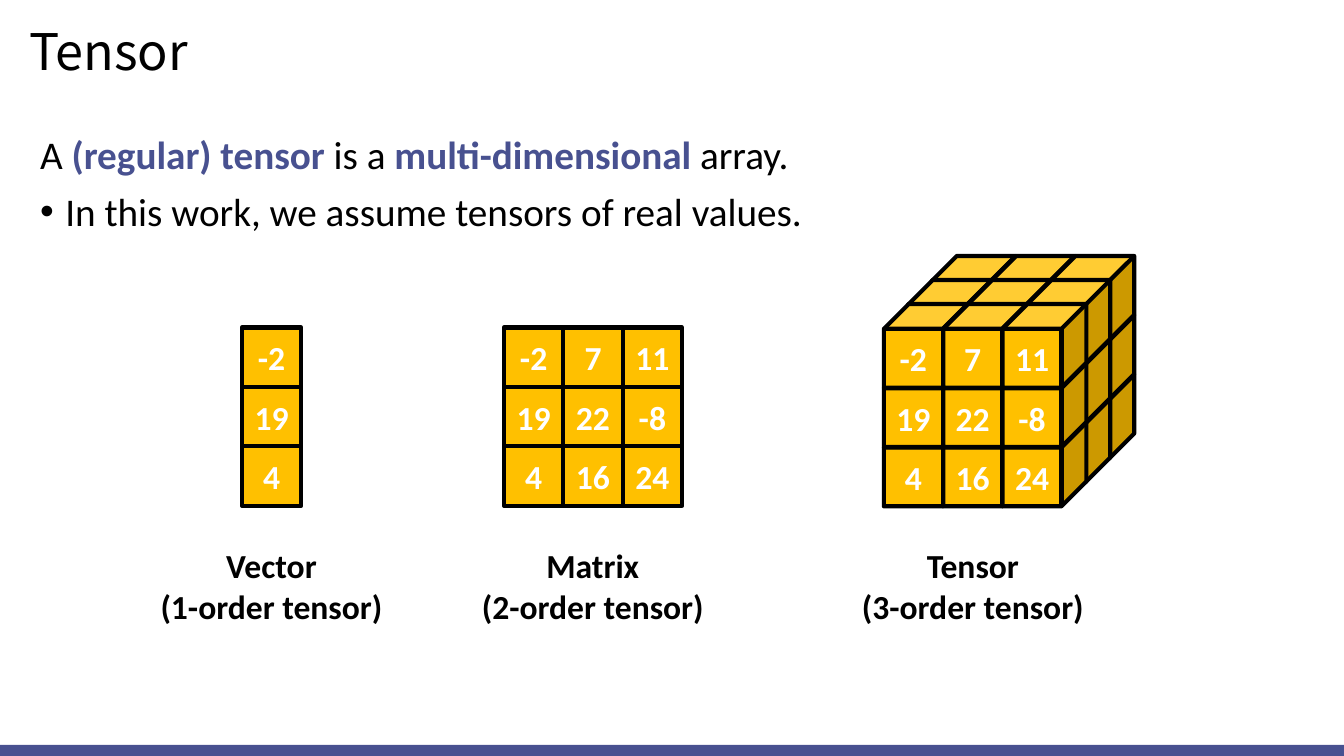
from lxml.etree import SubElement
from pptx import Presentation
from pptx.dml.color import RGBColor
from pptx.enum.shapes import MSO_SHAPE as Preset
from pptx.enum.text import MSO_ANCHOR as Anchor, PP_ALIGN as Align
from pptx.oxml.ns import qn
from pptx.util import Pt

WIDTH, HEIGHT = 960, 540
BLACK = RGBColor(0x00, 0x00, 0x00)
WHITE = RGBColor(0xFF, 0xFF, 0xFF)
INDIGO = RGBColor(0x48, 0x51, 0x90)
AMBER = RGBColor(0xFF, 0xC0, 0x00)

CELL = 42.4
CUBE = 59.8
CUBE_DEPTH = 0.298
LAYER_SHIFT = 17.1
GRID_TOP = 234
CAPTION_TOP, CAPTION_WIDTH, CAPTION_HEIGHT = 386, 176, 65.5

MATRIX = [["-2", "7", "11"], ["19", "22", "-8"], ["4", "16", "24"]]
VECTOR = [row[:1] for row in MATRIX]


class TensorSlide:
    font = "Calibri"

    def __init__(self, slide):
        self.slide = slide

    def run(self, paragraph, text, size, color=BLACK, bold=False, font=None):
        run = paragraph.add_run()
        run.text = text
        run.font.name = font or self.font
        run.font.size = Pt(size)
        run.font.bold = bold
        run.font.color.rgb = color

    def text_box(self, left, top, width, height, anchor=Anchor.TOP):
        frame = self.slide.shapes.add_textbox(
            Pt(left), Pt(top), Pt(width), Pt(height)).text_frame
        frame.word_wrap = True
        frame.vertical_anchor = anchor
        return frame

    def bullet(self, paragraph):
        properties = paragraph._p.get_or_add_pPr()
        properties.set("marL", str(Pt(18)))
        properties.set("indent", str(Pt(-18)))
        SubElement(properties, qn("a:buFont"), typeface="Arial")
        SubElement(properties, qn("a:buChar"), char="•")

    def bar(self, top, height):
        bar = self.slide.shapes.add_shape(
            Preset.RECTANGLE, Pt(0), Pt(top), Pt(WIDTH), Pt(height))
        bar.shadow.inherit = False
        bar.fill.solid()
        bar.fill.fore_color.rgb = INDIGO
        bar.line.fill.background()

    def cell(self, group, preset, left, top, size, value):
        cell = group.shapes.add_shape(preset, Pt(left), Pt(top), Pt(size), Pt(size))
        cell.shadow.inherit = False
        cell.fill.solid()
        cell.fill.fore_color.rgb = AMBER
        cell.line.color.rgb = BLACK
        cell.line.width = Pt(3)
        if preset == Preset.CUBE:
            cell.adjustments[0] = CUBE_DEPTH
        if value:
            frame = cell.text_frame
            frame.margin_left = frame.margin_right = Pt(0)
            frame.vertical_anchor = Anchor.MIDDLE
            paragraph = frame.paragraphs[0]
            paragraph.alignment = Align.CENTER
            self.run(paragraph, value, 24, WHITE, bold=True)

    def grid(self, left, values):
        group = self.slide.shapes.add_group_shape()
        for i, row in enumerate(values):
            for j, value in enumerate(row):
                self.cell(group, Preset.RECTANGLE, left + j * CELL,
                          GRID_TOP + i * CELL, CELL, value)

    def cube_stack(self, left, top, values, layers):
        group = self.slide.shapes.add_group_shape()
        # Back layer first, bottom row first, so that nearer cubes overlap
        for layer in reversed(range(layers)):
            shift = layer * LAYER_SHIFT
            for i, row in reversed(list(enumerate(values))):
                for j, value in enumerate(row):
                    self.cell(group, Preset.CUBE, left + j * CELL + shift,
                              top + i * CELL - shift, CUBE,
                              value if layer == 0 else None)

    def caption(self, center, name, order):
        frame = self.text_box(center - CAPTION_WIDTH / 2, CAPTION_TOP,
                              CAPTION_WIDTH, CAPTION_HEIGHT)
        frame.margin_left = frame.margin_right = Pt(0)
        lines = [frame.paragraphs[0], frame.add_paragraph()]
        for line, text in zip(lines, [name, f"({order}-order tensor)"]):
            line.alignment = Align.CENTER
            self.run(line, text, 24, bold=True)


def main():
    deck = Presentation()
    deck.slide_width, deck.slide_height = Pt(WIDTH), Pt(HEIGHT)
    page = TensorSlide(deck.slides.add_slide(deck.slide_layouts[6]))

    # Footer bar and title
    page.bar(532, 8)
    title = page.text_box(13.7, 10.8, 924.5, 55.4, Anchor.MIDDLE).paragraphs[0]
    title.line_spacing = 0.9
    page.run(title, "Tensor", 36, font="Noto Sans CJK KR")

    # Definition
    body = page.text_box(21.6, 93.6, 916.6, 393)
    definition = body.paragraphs[0]
    definition.line_spacing = 0.9
    for text, key_term in [("A", False), (" (regular) tensor", True),
                           (" is a ", False), ("multi-dimensional", True),
                           (" array.", False)]:
        page.run(definition, text, 28, INDIGO if key_term else BLACK, key_term)
    assumption = body.add_paragraph()
    page.bullet(assumption)
    assumption.line_spacing = 0.9
    assumption.space_before = Pt(10)
    page.run(assumption, "In this work, we assume tensors of real values.", 28)

    # Vector, matrix and tensor
    page.grid(172.8, VECTOR)
    page.grid(360, MATRIX)
    page.cube_stack(631.4, 217.1, MATRIX, layers=3)

    # Captions
    for order, (center, name) in enumerate(
            [(193.9, "Vector"), (423.4, "Matrix"), (694.9, "Tensor")], start=1):
        page.caption(center, name, order)

    deck.save("out.pptx")


if __name__ == "__main__":
    main()
